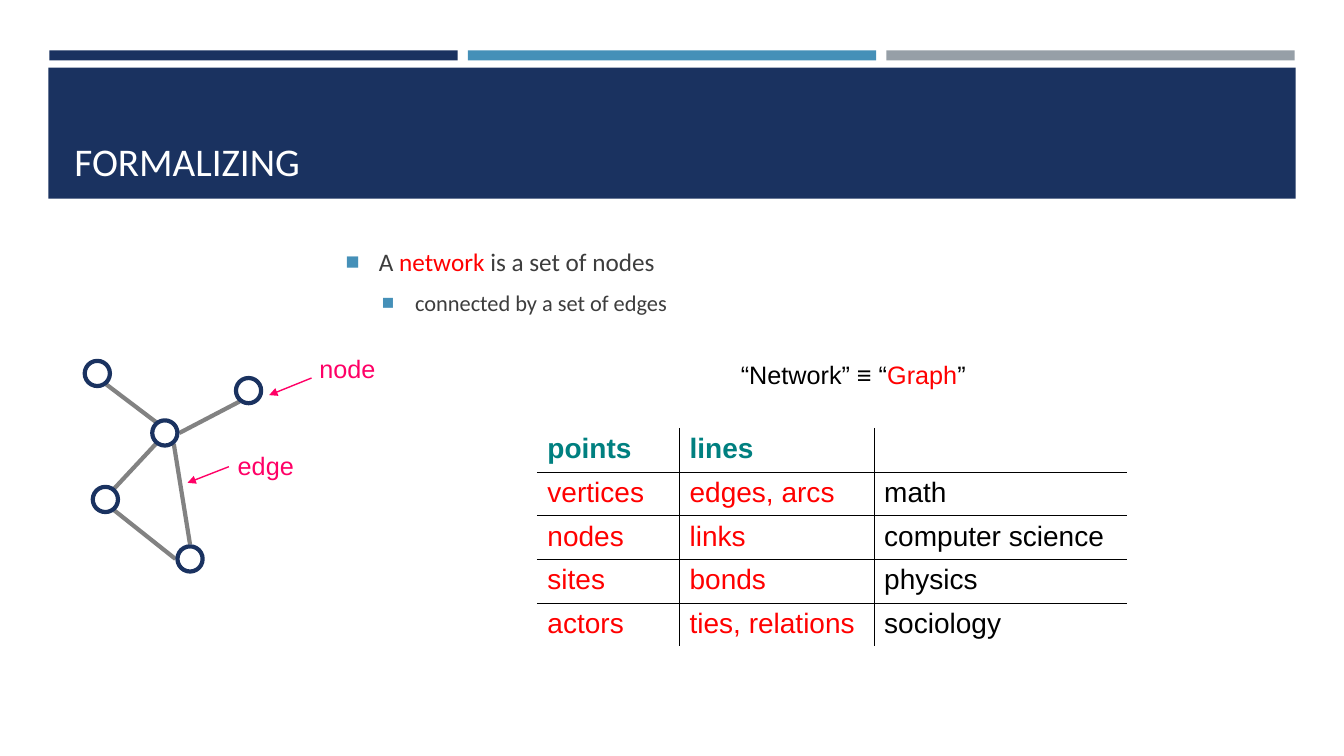
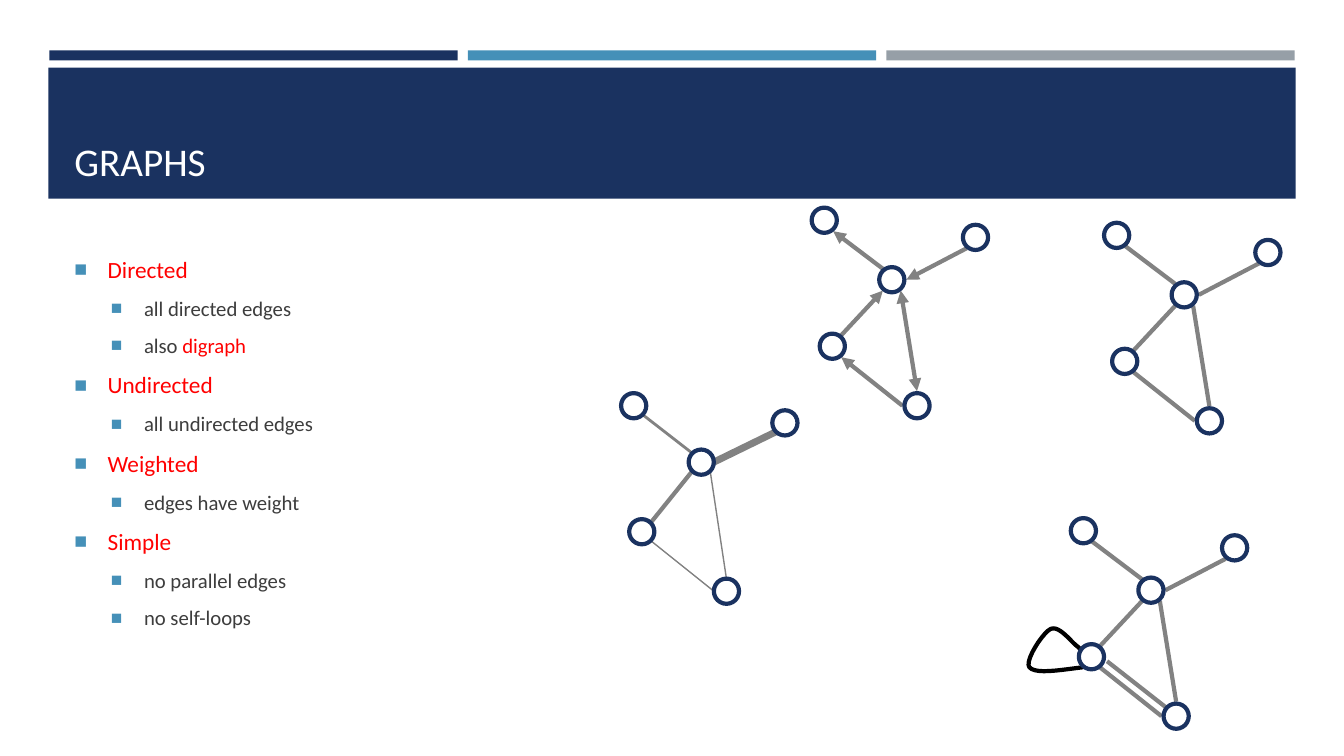
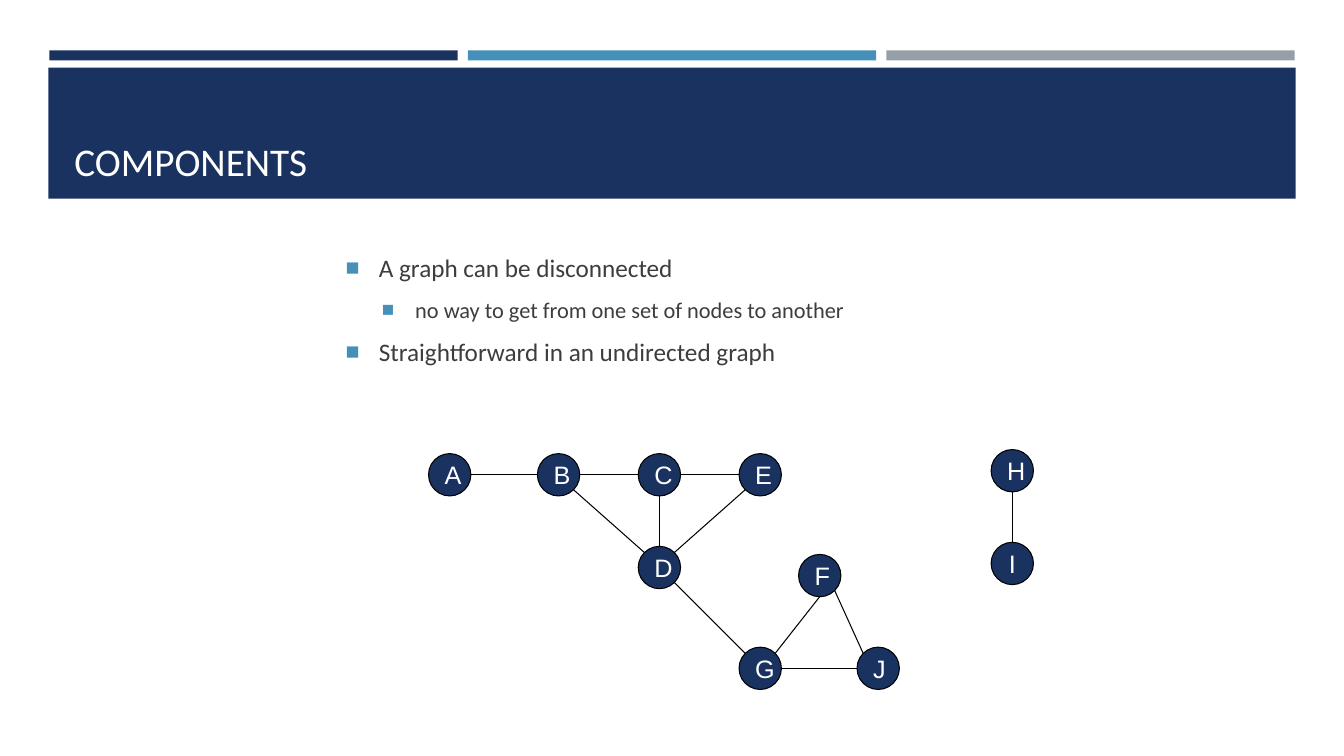
from dataclasses import dataclass
from typing import NamedTuple

from lxml import etree
from pptx import Presentation
from pptx.dml.color import RGBColor
from pptx.enum.shapes import MSO_CONNECTOR, MSO_SHAPE
from pptx.enum.text import MSO_ANCHOR, PP_ALIGN
from pptx.oxml.ns import qn
from pptx.util import Inches, Pt

NAVY = RGBColor(0x1A, 0x32, 0x60)
BLUE = RGBColor(0x45, 0x90, 0xB8)
SILVER = RGBColor(0x96, 0x9F, 0xA7)
GREY = RGBColor(0x82, 0x82, 0x82)
INK = RGBColor(0x3D, 0x3D, 0x3D)
RED = RGBColor(0xFF, 0x00, 0x00)
PINK = RGBColor(0xFF, 0x00, 0x66)
TEAL = RGBColor(0x00, 0x80, 0x80)
BLACK = RGBColor(0x00, 0x00, 0x00)
WHITE = RGBColor(0xFF, 0xFF, 0xFF)
HEAD = "Calibri"
SANS = "Arial"
DOT = 0.25
BALL = 0.42


class Point(NamedTuple):
    x: float
    y: float


class Box(NamedTuple):
    x: float
    y: float
    w: float
    h: float


class Edge(NamedTuple):
    start: str
    out: str
    end: str
    into: str


class Item(NamedTuple):
    level: int
    text: str


class Label(NamedTuple):
    text: str
    box: Box
    start: Point
    end: Point


@dataclass(frozen=True)
class Graph:
    x: float
    y: float
    widths: tuple[float, ...] = (3, 3, 3, 3, 3)
    tips: tuple[str, ...] = ("", "", "", "", "")
    lift: float = 0
    pad: float = 0.02


SIDES = {
    "N": Point(0, -1), "S": Point(0, 1), "W": Point(-1, 0), "E": Point(1, 0),
    "NW": Point(-0.71, -0.71), "NE": Point(0.71, -0.71),
    "SW": Point(-0.71, 0.71), "SE": Point(0.71, 0.71),
}
DOTS = {
    "hub": Point(0, 0), "right": Point(0.83, -0.42), "left": Point(-0.59, 0.66),
    "low": Point(0.25, 1.25), "top": Point(-0.67, -0.59),
}
EDGES = (
    Edge("top", "SE", "hub", "NW"),
    Edge("hub", "SW", "left", "NE"),
    Edge("hub", "SE", "low", "N"),
    Edge("left", "SE", "low", "W"),
    Edge("hub", "E", "right", "SW"),
)
PLAIN = Graph(1.51, 4.17)
GRAPHS = (
    Graph(8.72, 2.65, tips=("head", "head", "head tail", "head", "head")),
    Graph(11.62, 2.8),
    Graph(6.83, 4.49, widths=(2, 3, 1, 1, 5), lift=0.03, pad=0),
    Graph(11.29, 5.73),
)
LABELS = (
    Label("node", Box(3.07, 3.46, 0.76, 0.4), Point(3.09, 3.75), Point(2.67, 3.92)),
    Label("edge", Box(2.26, 4.42, 0.76, 0.4), Point(2.27, 4.63), Point(1.86, 4.79)),
)
LOOP = (
    Point(10.74, 6.62),
    Point(10.5, 6.65), Point(10.27, 6.69), Point(10.21, 6.62),
    Point(10.16, 6.56), Point(10.34, 6.28), Point(10.42, 6.24),
    Point(10.5, 6.2), Point(10.62, 6.36), Point(10.67, 6.4),
    Point(10.72, 6.44), Point(10.72, 6.45), Point(10.72, 6.46),
)
TERMS = (
    ("points", "lines", ""),
    ("vertices", "edges, arcs", "math"),
    ("nodes", "links", "computer science"),
    ("sites", "bonds", "physics"),
    ("actors", "ties, relations", "sociology"),
)
BALLS = {
    "A": Point(4.25, 4.5), "B": Point(5.33, 4.5), "C": Point(6.33, 4.5),
    "D": Point(6.33, 5.42), "F": Point(7.92, 5.5), "E": Point(7.33, 4.5),
    "H": Point(9.83, 4.46), "G": Point(7.33, 6.42), "J": Point(8.5, 6.42),
    "I": Point(9.83, 5.38),
}
LINKS = (
    Edge("A", "E", "B", "W"), Edge("B", "E", "C", "W"), Edge("B", "SE", "D", "NW"),
    Edge("D", "SE", "G", "NW"), Edge("C", "E", "E", "W"), Edge("C", "S", "D", "N"),
    Edge("H", "S", "I", "N"), Edge("G", "E", "J", "W"), Edge("D", "NE", "E", "SW"),
    Edge("F", "S", "G", "NE"), Edge("F", "SE", "J", "NW"),
)


def place(box: tuple) -> tuple:
    return tuple(Inches(side) for side in box)


def style(para, font: str, size: float, color: RGBColor) -> None:
    para.font.name = font
    para.font.size = Pt(size)
    para.font.color.rgb = color


def space(para) -> None:
    gap = etree.Element(qn("a:spcBef"))
    etree.SubElement(gap, qn("a:spcPct"), val="20000")
    para._p.get_or_add_pPr().insert(0, gap)


def write(para, text: str) -> None:
    for i, part in enumerate(text.split("|")):
        if part:
            run = para.add_run()
            run.text = part
            if i % 2:
                run.font.color.rgb = RED


def add_text(slide, box: Box, text: str, font: str, size: float, color: RGBColor,
             anchor=MSO_ANCHOR.TOP, wrap: bool = True) -> None:
    frame = slide.shapes.add_textbox(*place(box)).text_frame
    frame.word_wrap = wrap
    frame.vertical_anchor = anchor
    para = frame.paragraphs[0]
    write(para, text)
    style(para, font, size, color)


def add_band(slide, box: Box, color: RGBColor) -> None:
    band = slide.shapes.add_shape(MSO_SHAPE.RECTANGLE, *place(box))
    band.shadow.inherit = False
    band.fill.solid()
    band.fill.fore_color.rgb = color
    band.line.fill.background()


def add_slide(deck, title: str):
    slide = deck.slides.add_slide(deck.slide_layouts[6])
    for i, color in enumerate((NAVY, BLUE, SILVER)):
        add_band(slide, Box(0.49 + 4.15 * i, 0.5, 4.05, 0.1), color)
    add_band(slide, Box(0.48, 0.67, 12.37, 1.3), NAVY)
    add_text(slide, Box(0.64, 0.77, 12.06, 1.11), title, HEAD, 28, WHITE,
             MSO_ANCHOR.BOTTOM)
    return slide


def add_bullet(para, level: int) -> None:
    para.level = level
    props = para._p.get_or_add_pPr()
    props.set("marL", str(Inches((0.33, 0.69)[level])))
    props.set("indent", str(Inches(-0.33)))
    tint = etree.SubElement(props, qn("a:buClr"))
    etree.SubElement(tint, qn("a:srgbClr"), val=str(BLUE))
    etree.SubElement(props, qn("a:buSzPct"), val="92000")
    etree.SubElement(props, qn("a:buFont"), typeface=SANS)
    etree.SubElement(props, qn("a:buChar"), char="■")


def add_list(slide, box: Box, items: tuple[Item, ...],
             sizes: tuple[float, float] = (18, 16)) -> None:
    frame = slide.shapes.add_textbox(*place(box)).text_frame
    frame.word_wrap = True
    frame.vertical_anchor = MSO_ANCHOR.MIDDLE
    for i, item in enumerate(items):
        para = frame.add_paragraph() if i else frame.paragraphs[0]
        add_bullet(para, item.level)
        space(para)
        para.space_after = Pt(6)
        write(para, item.text)
        style(para, HEAD, sizes[item.level], INK)


def add_line(slide, start: Point, end: Point, color: RGBColor, width: float,
             tips: str = "") -> None:
    line = slide.shapes.add_connector(
        MSO_CONNECTOR.STRAIGHT, *place((*start, *end)))
    line.line.color.rgb = color
    line.line.width = Pt(width)
    props = line.element.spPr
    stroke = props.find(qn("a:ln"))
    for tip in tips.split():
        etree.SubElement(stroke, qn(f"a:{tip}End"), type="triangle")
    etree.SubElement(props, qn("a:effectLst"))


def add_oval(slide, spot: Point, size: float, color: RGBColor, width: float):
    oval = slide.shapes.add_shape(
        MSO_SHAPE.OVAL, *place(Box(spot.x, spot.y, size, size)))
    oval.shadow.inherit = False
    oval.fill.background()
    oval.line.color.rgb = color
    oval.line.width = Pt(width)
    return oval


def rim(spot: Point, size: float, side: str, pad: float = 0) -> Point:
    way = SIDES[side]
    half = size / 2
    slant = len(side) == 2
    reach = half if slant else half + pad
    rise = pad * (1 if way.y > 0 else -1) if slant else 0
    return Point(spot.x + half + way.x * reach, spot.y + half + way.y * reach + rise)


def add_graph(slide, graph: Graph) -> None:
    spots = {name: Point(graph.x + dot.x, graph.y + dot.y)
             for name, dot in DOTS.items()}
    spots["hub"] = Point(graph.x, graph.y - graph.lift)
    for edge, width, tips in zip(EDGES, graph.widths, graph.tips):
        add_line(slide, rim(spots[edge.start], DOT, edge.out, graph.pad),
                 rim(spots[edge.end], DOT, edge.into, graph.pad), GREY, width, tips)
    for spot in spots.values():
        add_oval(slide, spot, DOT, NAVY, 3)


def curve(points: tuple[Point, ...], steps: int = 10) -> list[tuple]:
    trace = []
    for k in range(0, len(points) - 1, 3):
        a, b, c, d = points[k:k + 4]
        for i in range(1, steps + 1):
            t = i / steps
            u = 1 - t
            trace.append(tuple(
                Inches(u**3 * p + 3 * u * u * t * q + 3 * u * t * t * r + t**3 * s)
                for p, q, r, s in zip(a, b, c, d)))
    return trace


def add_loop(slide) -> None:
    pen = slide.shapes.build_freeform(*place(LOOP[0]))
    pen.add_line_segments(curve(LOOP), close=False)
    loop = pen.convert_to_shape()
    loop.shadow.inherit = False
    loop.fill.background()
    loop.line.color.rgb = BLACK
    loop.line.width = Pt(3)


def add_rules(cell, sides: str) -> None:
    props = cell._tc.get_or_add_tcPr()
    for i, side in enumerate(sides):
        rule = etree.Element(qn(f"a:ln{side}"), w=str(Pt(1)))
        fill = etree.SubElement(rule, qn("a:solidFill"))
        etree.SubElement(fill, qn("a:srgbClr"), val=str(BLACK))
        props.insert(i, rule)


def add_terms(slide) -> None:
    rows, cols = len(TERMS), len(TERMS[0])
    table = slide.shapes.add_table(
        rows, cols, *place(Box(5.33, 4.25, 5.84, 2.15))).table
    table.first_row = False
    table.horz_banding = False
    for col, width in zip(table.columns, (1.41, 1.93, 2.5)):
        col.width = Inches(width)
    for r, terms in enumerate(TERMS):
        table.rows[r].height = Inches(0.43)
        for c, term in enumerate(terms):
            cell = table.cell(r, c)
            cell.fill.background()
            inner = {"L": c > 0, "R": c < cols - 1, "T": r > 0, "B": r < rows - 1}
            add_rules(cell, "".join(side for side, on in inner.items() if on))
            if term:
                para = cell.text_frame.paragraphs[0]
                space(para)
                write(para, term)
                color = TEAL if r == 0 else RED if c < 2 else BLACK
                style(para, SANS, 20, color)
                para.font.bold = r == 0


def add_formal(deck) -> None:
    slide = add_slide(deck, "FORMALIZING")
    add_list(slide, Box(3.33, 2.08, 7.67, 1.42), (
        Item(0, "A |network| is a set of nodes"),
        Item(1, "connected by a set of edges"),
    ))
    add_text(slide, Box(7.25, 3.52, 2.6, 0.4), "“Network” ≡ “|Graph|”", SANS, 18, BLACK)
    add_terms(slide)
    add_graph(slide, PLAIN)
    for label in LABELS:
        add_line(slide, label.start, label.end, PINK, 1, "tail")
        add_text(slide, label.box, label.text, SANS, 18, PINK, wrap=False)


def add_kinds(deck) -> None:
    slide = add_slide(deck, "GRAPHS")
    add_list(slide, Box(0.64, 2.38, 12.06, 4.02), (
        Item(0, "|Directed|"),
        Item(1, "all directed edges"),
        Item(1, "also |digraph|"),
        Item(0, "|Undirected|"),
        Item(1, "all undirected edges"),
        Item(0, "|Weighted|"),
        Item(1, "edges have weight"),
        Item(0, "|Simple|"),
        Item(1, "no parallel edges"),
        Item(1, "no self-loops"),
    ), (16.6, 14.8))
    add_loop(slide)
    add_line(slide, Point(10.98, 6.56), Point(11.58, 7.03), GREY, 3)
    for graph in GRAPHS:
        add_graph(slide, graph)


def add_parts(deck) -> None:
    slide = add_slide(deck, "COMPONENTS")
    add_list(slide, Box(3.33, 2.08, 7.67, 1.98), (
        Item(0, "A graph can be disconnected"),
        Item(1, "no way to get from one set of nodes to another"),
        Item(0, "Straightforward in an undirected graph"),
    ))
    for name, spot in BALLS.items():
        ball = add_oval(slide, spot, BALL, BLACK, 0.75)
        ball.fill.solid()
        ball.fill.fore_color.rgb = NAVY
        ball.text_frame.vertical_anchor = MSO_ANCHOR.MIDDLE
        para = ball.text_frame.paragraphs[0]
        para.alignment = PP_ALIGN.CENTER
        write(para, name)
        style(para, SANS, 18, WHITE)
    for link in LINKS:
        add_line(slide, rim(BALLS[link.start], BALL, link.out),
                 rim(BALLS[link.end], BALL, link.into), BLACK, 0.75)


def main() -> None:
    deck = Presentation()
    deck.slide_width = Inches(13.33)
    deck.slide_height = Inches(7.5)
    add_formal(deck)
    add_kinds(deck)
    add_parts(deck)
    deck.save("out.pptx")


if __name__ == "__main__":
    main()
